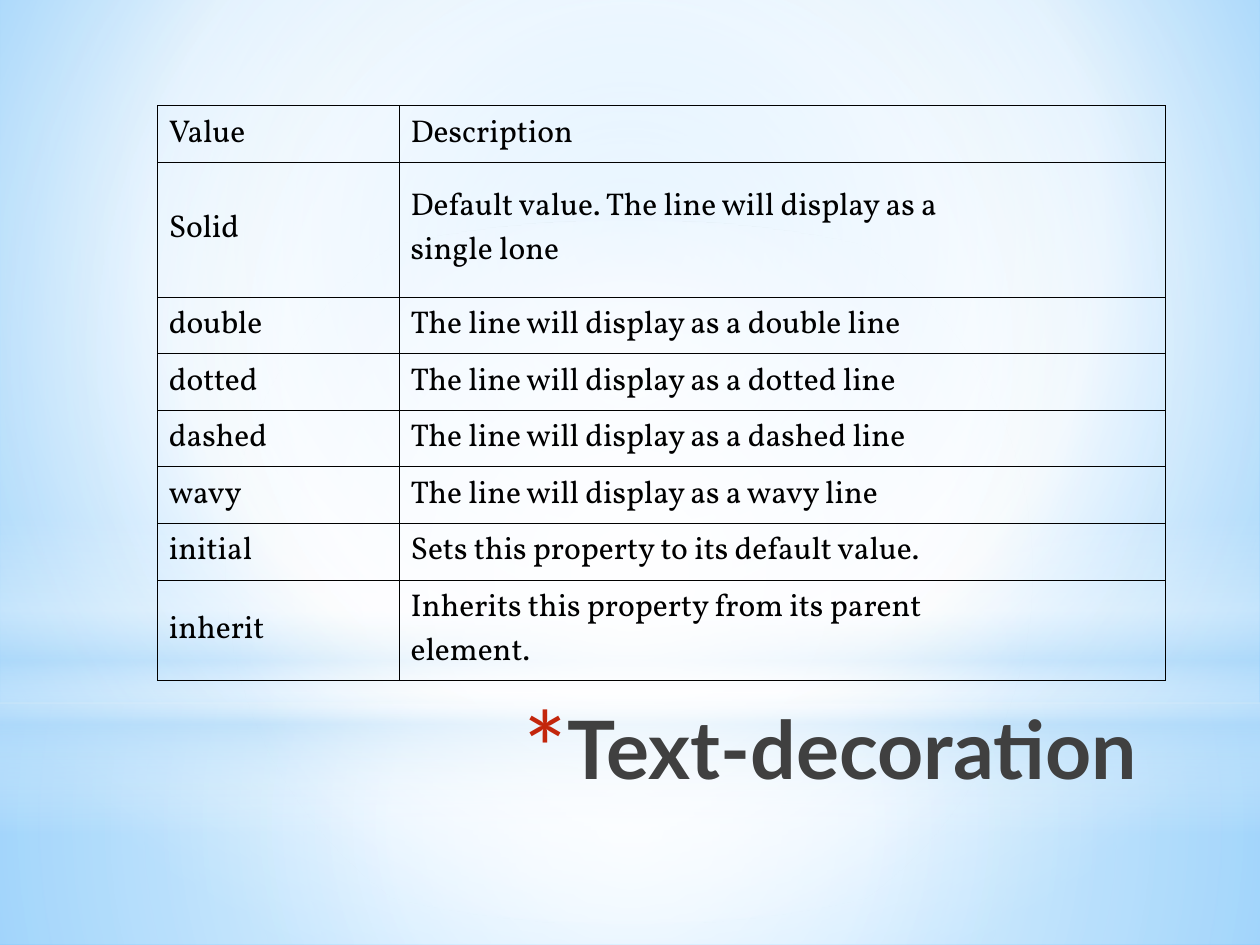
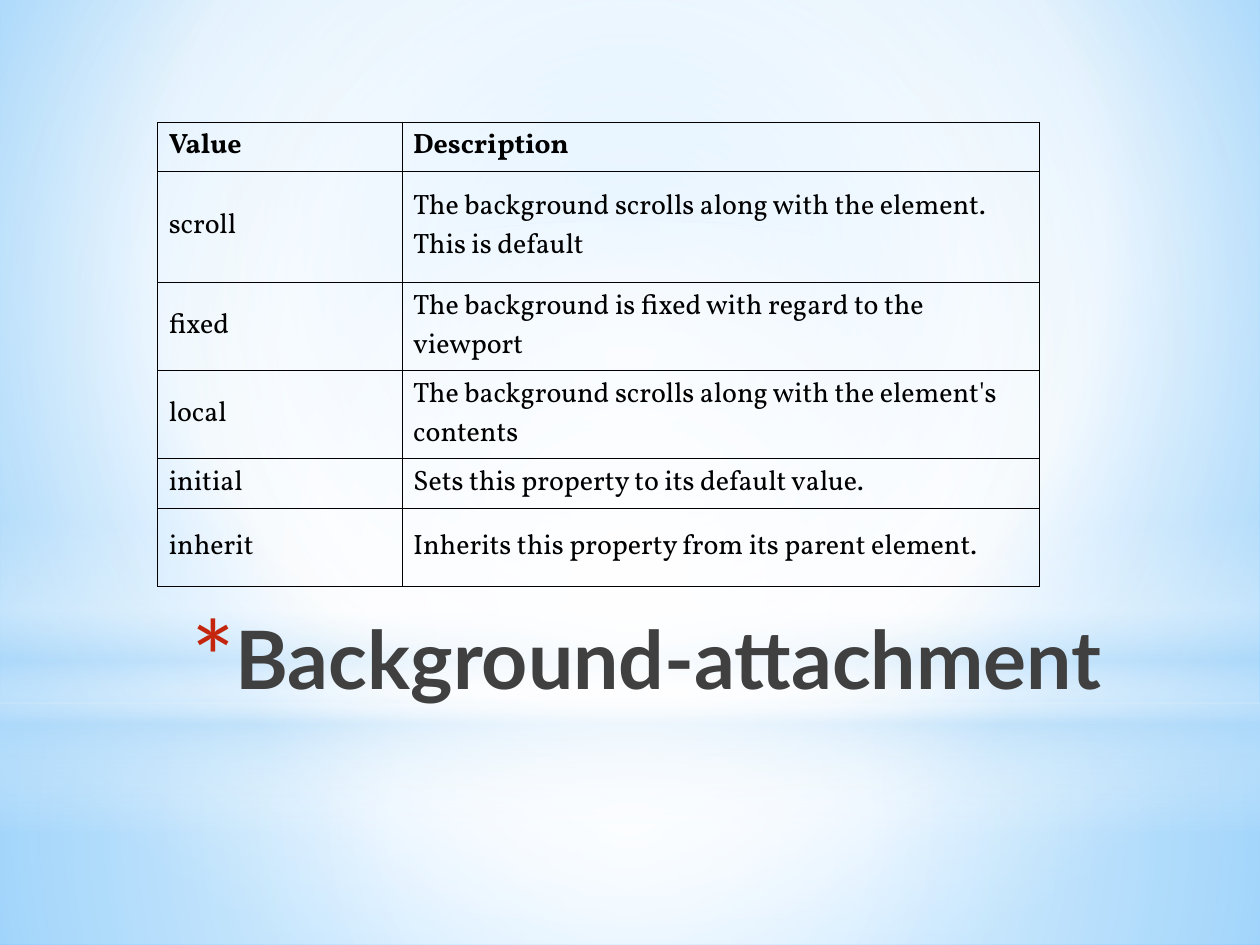
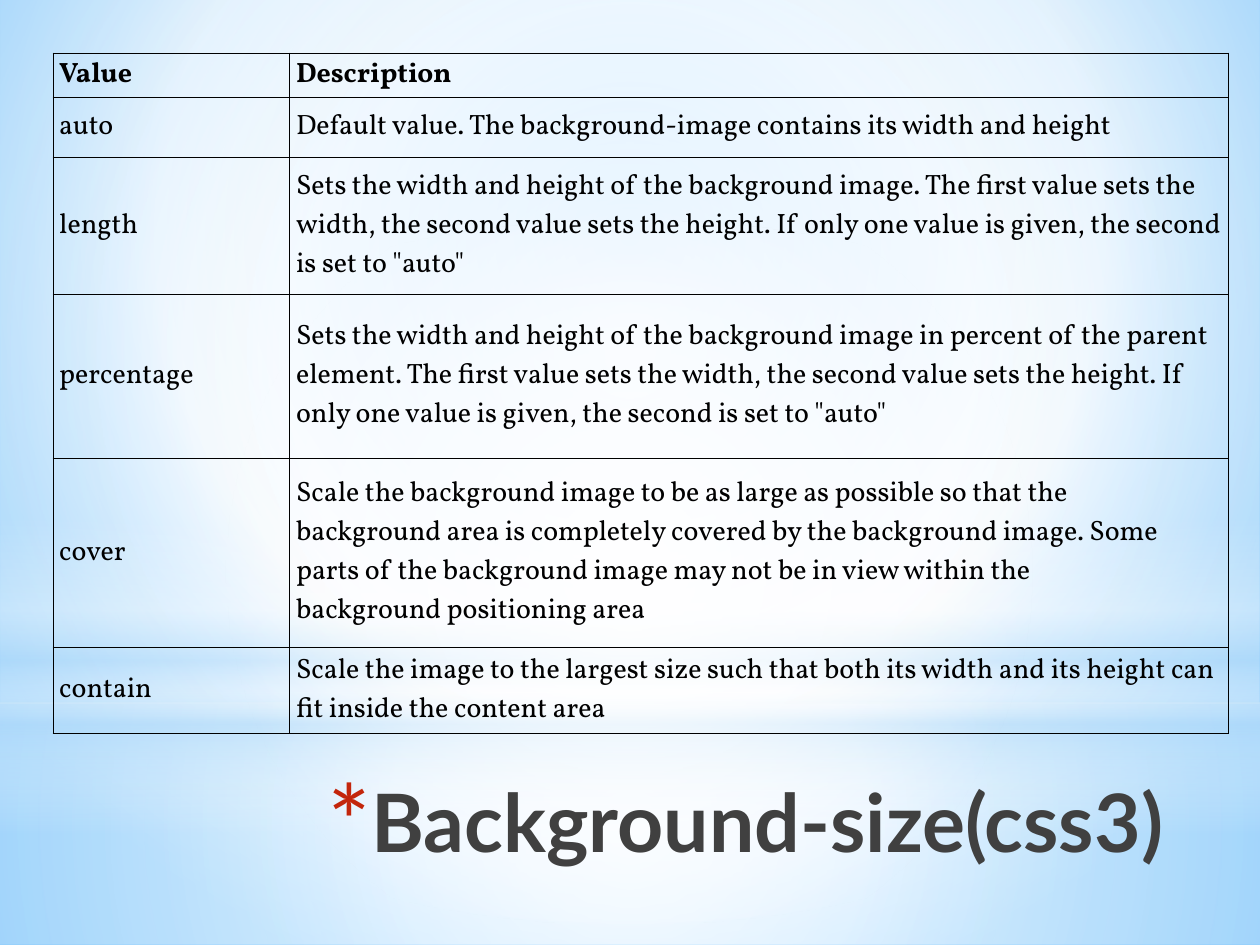
from lxml import etree
from pptx import Presentation
from pptx.dml.color import RGBColor
from pptx.enum.shapes import MSO_SHAPE
from pptx.enum.text import MSO_ANCHOR, MSO_AUTO_SIZE, PP_ALIGN
from pptx.oxml import parse_xml
from pptx.oxml.ns import nsdecls, qn
from pptx.util import Inches, Pt

RECT, OVAL = MSO_SHAPE.RECTANGLE, MSO_SHAPE.OVAL
LEFT, RIGHT = PP_ALIGN.LEFT, PP_ALIGN.RIGHT
TOP, MIDDLE = MSO_ANCHOR.TOP, MSO_ANCHOR.MIDDLE
NO_FIT = MSO_AUTO_SIZE.NONE

INK = RGBColor(0x40, 0x40, 0x40)
RED = RGBColor(0xC3, 0x26, 0x0C)
BLACK = RGBColor(0, 0, 0)
WHITE = RGBColor(0xFF, 0xFF, 0xFF)
MIST = RGBColor(0xB4, 0xDC, 0xFA)
SKY = RGBColor(0x9E, 0xD5, 0xFF)
BLUE = RGBColor(0x5B, 0xB9, 0xFF)

HEAD_FONT, BODY_FONT = "Lato", "Vollkorn"
CENTER = (50, 50, 50, 50)


def blend(owner, stops, focus=None):
    """Swap the solid fill under owner for a round or downward gradient."""
    marks = "".join(
        f'<a:gs pos="{pos * 1000}"><a:srgbClr val="{color}">'
        f'<a:alpha val="{alpha * 1000}"/></a:srgbClr></a:gs>'
        for pos, color, alpha in stops)
    if focus:
        l, t, r, b = (side * 1000 for side in focus)
        way = (f'<a:path path="circle"><a:fillToRect l="{l}" t="{t}" '
               f'r="{r}" b="{b}"/></a:path>')
    else:
        way = '<a:lin ang="5400000" scaled="0"/>'
    solid = owner.find(".//" + qn("a:solidFill"))
    solid.getparent().replace(solid, parse_xml(
        f'<a:gradFill {nsdecls("a")} rotWithShape="1">'
        f'<a:gsLst>{marks}</a:gsLst>{way}</a:gradFill>'))


def edge(cell):
    """Draw a thin black line on all four sides of a cell."""
    props = cell._tc.get_or_add_tcPr()
    for place, side in enumerate("LRTB"):
        props.insert(place, parse_xml(
            f'<a:ln{side} {nsdecls("a")} w="6350"><a:solidFill>'
            f'<a:srgbClr val="{BLACK}"/></a:solidFill></a:ln{side}>'))


prs = Presentation()
prs.slide_width, prs.slide_height = Inches(10), Inches(7.5)
master = prs.slide_master
layout = prs.slide_layouts[5]

# Shared background
master.background.fill.solid()
master.background.fill.fore_color.rgb = WHITE
blend(master.element.find(".//" + qn("p:bg")),
      [(0, SKY, 100), (60, WHITE, 100), (100, BLUE, 100)], (20, 10, 20, 60))

# Shared glow bands: shape, left, top, width, height, stops, focus
BANDS = [
    (RECT, 0, 5.58, 10, 1.92,
     [(0, WHITE, 91), (37, WHITE, 76), (100, MIST, 79)], CENTER),
    (RECT, 0, 0, 10, 5.58,
     [(0, WHITE, 89), (48, WHITE, 62), (100, MIST, 79)], CENTER),
    (RECT, 0, 4.12, 10, 2.5,
     [(0, WHITE, 0), (29, WHITE, 30), (45, MIST, 40), (55, WHITE, 26),
      (65, MIST, 60), (100, WHITE, 0)], None),
    (OVAL, 0, 1.75, 10, 5.58, [(0, WHITE, 100), (56, WHITE, 0)], CENTER),
]

# Slide content: title, its place and alignment, then the table
PAGES = [
    dict(title="Text-decoration", box=(2, 5.5, 7.12, 1.25), align=RIGHT,
         at=(1.25, 0.84), cols=(1.92, 6.08), inset=(0.09, 0.05),
         heights=(0.43, 1.07, 0.43, 0.43, 0.43, 0.43, 0.43, 0.75),
         size=18, bold=False,
         rows=[
             ("Value", "Description"),
             ("Solid", "Default value. The line will display as a\v"
                       "single lone"),
             ("double", "The line will display as a double line"),
             ("dotted", "The line will display as a dotted line"),
             ("dashed", "The line will display as a dashed line"),
             ("wavy", "The line will display as a wavy line"),
             ("initial", "Sets this property to its default value."),
             ("inherit", "Inherits this property from its parent\v"
                         "element."),
         ]),
    dict(title="Background-attachment", box=(1.42, 4.78, 8.08, 1.25),
         align=LEFT, at=(1.25, 0.97), cols=(1.94, 5.06), inset=(0.09, 0.04),
         heights=(0.35, 0.88, 0.62, 0.62, 0.35, 0.62), size=16, bold=True,
         rows=[
             ("Value", "Description"),
             ("scroll", "The background scrolls along with the element. "
                        "This is default"),
             ("fixed", "The background is fixed with regard to the viewport"),
             ("local", "The background scrolls along with the element's "
                       "contents"),
             ("initial", "Sets this property to its default value."),
             ("inherit", "Inherits this property from its parent element."),
         ]),
    dict(title="Background-size(css3)", box=(1.25, 6.08, 8.08, 1.25),
         align=RIGHT, at=(0.42, 0.42), cols=(1.88, 7.45), inset=(0.05, 0.02),
         heights=(0.28, 0.48, 1.09, 1.3, 1.5, 0.68), size=16, bold=True,
         rows=[
             ("Value", "Description"),
             ("auto", "Default value. The background-image contains its "
                      "width and height"),
             ("length", "Sets the width and height of the background image. "
                        "The first value sets the width, the second value "
                        "sets the height. If only one value is given, the "
                        "second is set to \"auto\""),
             ("percentage", "Sets the width and height of the background "
                            "image in percent of the parent element. The "
                            "first value sets the width, the second value "
                            "sets the height. If only one value is given, "
                            "the second is set to \"auto\""),
             ("cover", "Scale the background image to be as large as "
                       "possible so that the\vbackground area is completely "
                       "covered by the background image. Some parts of the "
                       "background image may not be in view within the\v"
                       "background positioning area"),
             ("contain", "Scale the image to the largest size such that both "
                         "its width and its height can fit inside the "
                         "content area"),
         ]),
]

for number, page in enumerate(PAGES):
    slide = prs.slides.add_slide(layout)

    # The bands are drawn once and moved to the master
    if number == 0:
        for place, (kind, x, y, w, h, stops, focus) in enumerate(BANDS):
            band = slide.shapes.add_shape(
                kind, Inches(x), Inches(y), Inches(w), Inches(h))
            band.shadow.inherit = False
            band.line.fill.background()
            band.fill.solid()
            band.fill.fore_color.rgb = WHITE
            blend(band.element, stops, focus)
            master.shapes.element.insert(place + 2, band.element)

    # Title with a red star bullet
    title = slide.shapes.title
    title.left, title.top, title.width, title.height = map(
        Inches, page["box"])
    frame = title.text_frame
    frame.text = page["title"]
    frame.word_wrap = True
    frame.auto_size = NO_FIT
    frame.vertical_anchor = TOP
    para = frame.paragraphs[0]
    para.alignment = page["align"]
    props = para._p.get_or_add_pPr()
    props.set("marL", str(Inches(0.35)))
    props.set("indent", str(Inches(-0.35)))
    color = etree.SubElement(props, qn("a:buClr"))
    etree.SubElement(color, qn("a:srgbClr"), val=str(RED))
    etree.SubElement(props, qn("a:buSzPct"), val="128000")
    etree.SubElement(props, qn("a:buFont"), typeface=HEAD_FONT)
    etree.SubElement(props, qn("a:buChar"), char="*")
    para.font.name, para.font.size = HEAD_FONT, Pt(46)
    para.font.bold = True
    para.font.color.rgb = INK

    # Table of values
    rows, cols, heights = page["rows"], page["cols"], page["heights"]
    x, y = page["at"]
    table = slide.shapes.add_table(
        len(rows), len(cols), Inches(x), Inches(y),
        Inches(sum(cols)), Inches(sum(heights))).table
    table.first_row = table.horz_banding = False
    for col, width in zip(table.columns, cols):
        col.width = Inches(width)
    side, cap = map(Inches, page["inset"])
    for r, (row, height) in enumerate(zip(rows, heights)):
        table.rows[r].height = Inches(height)
        for c, text in enumerate(row):
            cell = table.cell(r, c)
            cell.text = text
            cell.fill.background()
            cell.vertical_anchor = MIDDLE
            cell.margin_left = cell.margin_right = side
            cell.margin_top = cell.margin_bottom = cap
            edge(cell)
            font = cell.text_frame.paragraphs[0].font
            font.name, font.size = BODY_FONT, Pt(page["size"])
            font.bold = page["bold"] and r == 0
            font.color.rgb = BLACK

prs.save("out.pptx")
